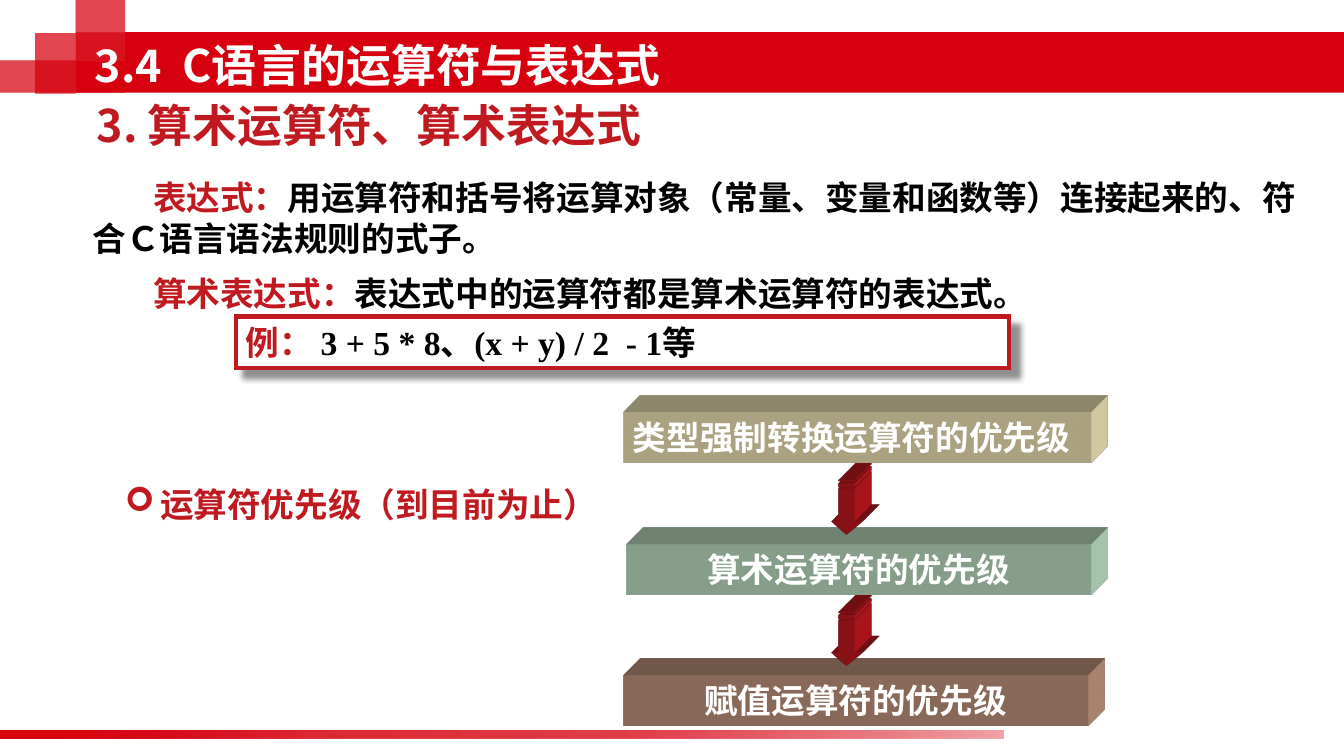
from lxml.etree import SubElement
from pptx import Presentation
from pptx.dml.color import RGBColor
from pptx.enum.shapes import MSO_SHAPE as SHAPE
from pptx.enum.text import MSO_ANCHOR as ANCHOR, PP_ALIGN as ALIGN
from pptx.oxml.ns import qn
from pptx.util import Inches, Pt

NOTO, TIMES = "Noto Sans CJK SC", "Times New Roman"
RED, CRIMSON, WHITE, BLACK = "D7000F", "C01920", "FFFFFF", "000000"


def rgb(value):
    """Turn a hex string into a colour."""
    return RGBColor.from_string(value)


def child(parent, tag, **attrs):
    """Append a DrawingML element with its attributes."""
    return SubElement(parent, qn(tag), {k: str(v) for k, v in attrs.items()})


def paint(s, fill):
    """Give a shape a flat fill, no outline and no shadow."""
    s.shadow.inherit = False
    s.fill.solid()
    s.fill.fore_color.rgb = rgb(fill)
    s.line.fill.background()


def add_rect(slide, box, fill, alpha=100):
    """Add a plain rectangle, translucent if alpha is below 100."""
    s = slide.shapes.add_shape(SHAPE.RECTANGLE, *map(Inches, box))
    paint(s, fill)
    if alpha < 100:
        clr = s._element.spPr.find(qn("a:solidFill"))[0]
        child(clr, "a:alpha", val=alpha * 1000)
    return s


def add_fading_strip(slide, box, stops):
    """Add a red strip that fades out to the right."""
    s = add_rect(slide, box, RED)
    spPr = s._element.spPr
    solid = spPr.find(qn("a:solidFill"))
    grad = child(spPr, "a:gradFill", rotWithShape=1)
    spPr.replace(solid, grad)
    gs_list = child(grad, "a:gsLst")
    for pos, alpha in stops:
        clr = child(child(gs_list, "a:gs", pos=pos * 1000), "a:srgbClr", val=RED)
        child(clr, "a:alpha", val=alpha * 1000)
    child(grad, "a:lin", ang=0, scaled=0)


def extrude(s, color):
    """Give a shape an oblique depth towards the top right."""
    spPr = s._element.spPr
    scene = child(spPr, "a:scene3d")
    child(scene, "a:camera", prst="legacyObliqueTopRight")
    child(scene, "a:lightRig", rig="legacyFlat3", dir="b")
    solid = child(spPr, "a:sp3d", extrusionH=430200, prstMaterial="legacyMatte")
    for bevel in ("a:bevelT", "a:bevelB"):
        child(solid, bevel, w=13500, h=13500, prst="angle")
    child(child(solid, "a:extrusionClr"), "a:srgbClr", val=color)


def add_run(p, text, size, color, font=NOTO):
    """Add a bold run with Latin and East Asian fonts."""
    r = p.add_run()
    r.text = text
    r.font.size, r.font.bold, r.font.name = Pt(size), True, font
    r.font.color.rgb = rgb(color)
    child(r._r.get_or_add_rPr(), "a:ea", typeface=NOTO)


def set_frame(s, anchor):
    """Set wrapping, anchor and margins; return the first paragraph."""
    tf = s.text_frame
    tf.word_wrap, tf.vertical_anchor = True, anchor
    tf.margin_left = tf.margin_right = Inches(0.1)
    tf.margin_top = tf.margin_bottom = Inches(0.05)
    tf.paragraphs[0].alignment = ALIGN.LEFT
    return tf.paragraphs[0]


def add_text(slide, box, anchor=ANCHOR.TOP):
    """Add a text box and return its first paragraph and frame."""
    s = slide.shapes.add_textbox(*map(Inches, box))
    return set_frame(s, anchor), s.text_frame


def set_indent(p, left, first):
    """Set the left margin and the first-line indent."""
    pPr = p._p.get_or_add_pPr()
    pPr.set("marL", str(Inches(left)))
    pPr.set("indent", str(Inches(first)))
    return pPr


def add_bar(slide, box, fill, text, align):
    """Add a labelled solid bar."""
    s = add_rect(slide, box, fill)
    extrude(s, fill)
    p = set_frame(s, ANCHOR.MIDDLE)
    p.alignment = align
    add_run(p, text, 24, WHITE, TIMES)


def add_arrow(slide, top):
    """Add a solid striped arrow pointing down."""
    neck, left, right = top + 0.4, 8.32, 8.48
    body = [(8.56, neck), (right, neck), (right, top + 0.08), (left, top + 0.08),
            (left, neck), (8.25, neck), (8.4, top + 0.53)]
    stripes = [[(right, top + a), (left, top + a), (left, top + b), (right, top + b)]
               for a, b in ((0.03, 0.07), (0, 0.01))]
    builder = None
    for outline in [body] + stripes:
        points = [(Inches(x), Inches(y)) for x, y in outline]
        if builder is None:
            builder = slide.shapes.build_freeform(*points[0])
        else:
            builder.move_to(*points[0])
        builder.add_line_segments(points[1:], close=True)
    s = builder.convert_to_shape()
    paint(s, CRIMSON)
    extrude(s, CRIMSON)


def add_example(slide):
    """Add the framed example with its shadow."""
    s = add_rect(slide, (2.34, 3.14, 7.67, 0.51), WHITE)
    s.line.color.rgb, s.line.width = rgb(CRIMSON), Pt(3)
    child(s.line._get_or_add_ln(), "a:miter", lim=800000)
    effects = s._element.spPr.find(qn("a:effectLst"))
    shadow = child(effects, "a:outerShdw", blurRad=Pt(4), dist=Pt(8.4),
                   dir=45 * 60000, algn="tl", rotWithShape=0)
    child(child(shadow, "a:srgbClr", val=BLACK), "a:alpha", val=43000)
    p = set_frame(s, ANCHOR.MIDDLE)
    add_run(p, "例： ", 24, CRIMSON)
    add_run(p, "3 + 5 * 8、(x + y) / 2  - 1", 24, BLACK, TIMES)
    add_run(p, "等", 24, BLACK)


def add_definitions(slide):
    """Add the two definitions."""
    definitions = (
        ("表达式：", "用运算符和括号将运算对象（常量、变量和函数等）连接起来的、符合Ｃ语言语法规则的式子。"),
        ("算术表达式：", "表达式中的运算符都是算术运算符的表达式。"),
    )
    p, tf = add_text(slide, (0.82, 1.7, 12.16, 1.51))
    for i, (term, meaning) in enumerate(definitions):
        if i:
            p = tf.add_paragraph()
            p.space_before = Pt(10)
        set_indent(p, 0, 0.6)
        p.line_spacing = Pt(29.3)
        add_run(p, term, 24, CRIMSON, TIMES)
        add_run(p, meaning, 24, BLACK, TIMES)


def add_decoration(slide):
    """Add the red band, the squares and the bottom strip."""
    for _ in range(2):
        for box in ((0, 0.6, 1.24, 0.32), (0.35, 0.33, 0.4, 0.6),
                    (0.75, -0.02, 0.49, 0.62), (0.75, 0.32, 0.49, 0.28)):
            add_rect(slide, box, RED, 48)
        add_fading_strip(slide, (-0.02, 7.25, 9.97, 0.08),
                         ((0, 100), (31, 60), (64, 50), (100, 20)))
    add_rect(slide, (0.75, 0.6, 0.49, 0.32), RED)
    add_rect(slide, (1.24, 0.32, 12.09, 0.6), RED)


def main():
    """Build the slide and save it."""
    prs = Presentation()
    prs.slide_width, prs.slide_height = Inches(13.33), Inches(7.5)
    slide = prs.slides.add_slide(prs.slide_layouts[6])
    add_decoration(slide)
    add_definitions(slide)
    p, _ = add_text(slide, (0.14, 4.75, 6.8, 0.55))
    pPr = set_indent(p, 1.35, -0.35)
    child(pPr, "a:buFont", typeface="Wingdings")
    child(pPr, "a:buChar", char="➢")
    add_run(p, "运算符优先级（到目前为止）", 24, CRIMSON)
    add_example(slide)
    add_bar(slide, (6.18, 4.09, 4.64, 0.5), "F0E5B7", "类型强制转换运算符的优先级", ALIGN.LEFT)
    add_bar(slide, (6.21, 5.4, 4.61, 0.5), "BEDFC4", "算术运算符的优先级", ALIGN.CENTER)
    add_bar(slide, (6.18, 6.7, 4.61, 0.5), "C2967F", "赋值运算符的优先级", ALIGN.CENTER)
    for top in (4.77, 6.07):
        add_arrow(slide, top)
    p, _ = add_text(slide, (0.86, 0.92, 8.5, 0.71))
    add_run(p, "3. 算术运算符、算术表达式", 32, CRIMSON)
    p, _ = add_text(slide, (0.84, 0.31, 8.9, 0.67), ANCHOR.MIDDLE)
    add_run(p, "3.4  C语言的运算符与表达式", 32, WHITE)
    prs.save("out.pptx")


if __name__ == "__main__":
    main()
